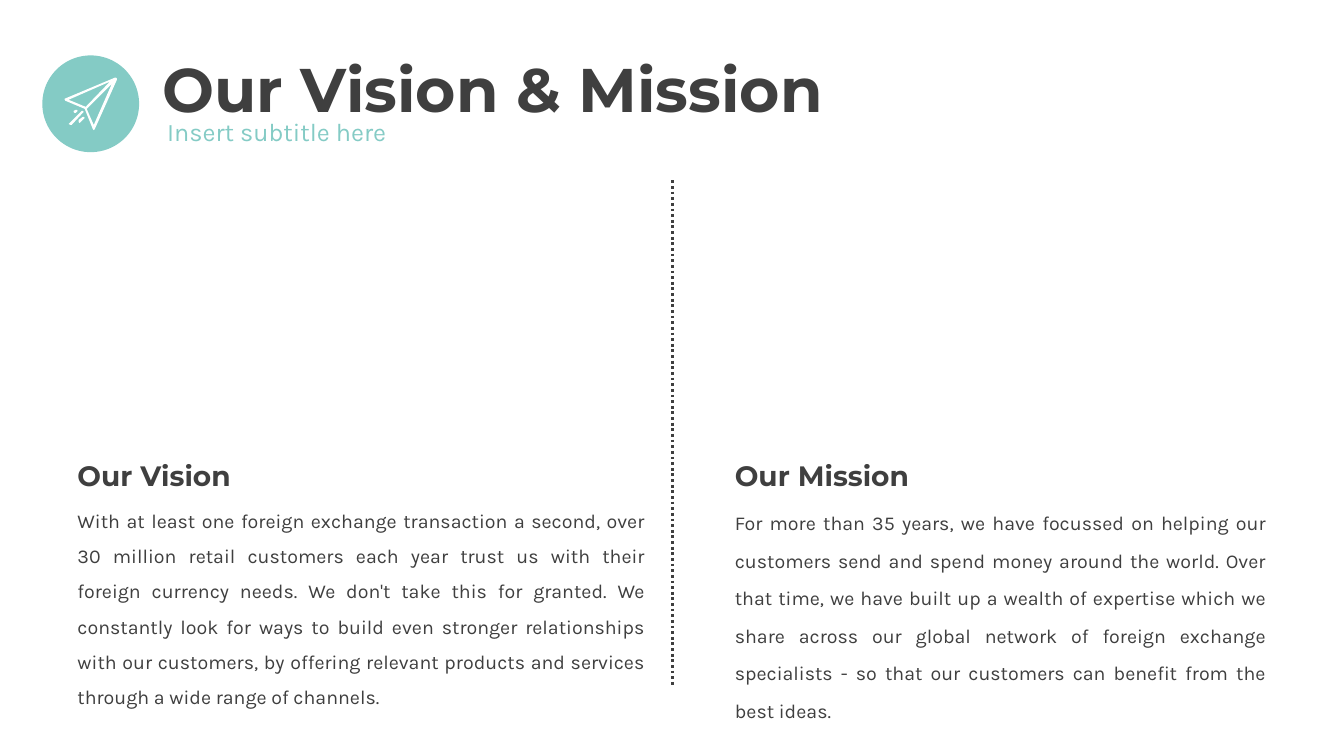
from lxml import etree
from pptx import Presentation
from pptx import util as u
from pptx.dml.color import RGBColor
from pptx.enum import dml, shapes, text
from pptx.oxml.ns import qn

TITLE = "Our Vision & Mission"
SUBTITLE = "Insert subtitle here"
BODY_TOP = 4.88
COLUMNS = [
    {"left": 0.67, "heading": "Our Vision", "heading_width": 4.33,
     "width": 5.83, "line_spacing": 1.5,
     "body": "With at least one foreign exchange transaction a second, over 30 million "
             "retail customers each year trust us with their foreign currency needs. "
             "We don't take this for granted. We constantly look for ways to build even "
             "stronger relationships with our customers, by offering relevant products "
             "and services through a wide range of channels."},
    {"left": 7.19, "heading": "Our Mission", "heading_width": 3.43,
     "width": 5.47, "line_spacing": 1.6,
     "body": "For more than 35 years, we have focussed on helping our customers send and "
             "spend money around the world. Over that time, we have built up a wealth of "
             "expertise which we share across our global network of foreign exchange "
             "specialists - so that our customers can benefit from the best ideas."},
]

# Paper plane contours in hundredths of an inch: outline, two wing cut-outs, three trails
PLANE = [
    [(116, 78), (115, 77), (114, 77), (64, 98), (64, 99), (65, 100), (84, 108),
     (92, 128), (93, 129), (94, 128), (116, 79)],
    [(68, 99), (109, 81), (85, 106)],
    [(93, 124), (86, 108), (111, 83)],
    [(75, 112), (77, 110), (76, 109), (75, 109), (73, 110), (73, 111), (74, 112)],
    [(83, 111), (82, 110), (81, 110), (69, 122), (68, 123), (70, 124), (71, 124), (82, 112)],
    [(83, 116), (82, 116), (78, 119), (78, 121), (79, 122), (80, 121), (83, 118), (84, 117)],
]

THEME = {
    "dark": RGBColor(0x3F, 0x3F, 0x3F),
    "accent": RGBColor(0x84, 0xCB, 0xC5),
    "white": RGBColor(0xFF, 0xFF, 0xFF),
    "heading_font": "Montserrat",
    "body_font": "Karla",
    "title_size": 44, "heading_size": 20, "subtitle_size": 18, "body_size": 14,
}


def add_text(slide, box, words, role, color="dark", bold=False, line_spacing=None,
             align=text.PP_ALIGN.LEFT, anchor=text.MSO_ANCHOR.TOP):
    """Place one paragraph; role picks its type size, bold picks the heading font."""
    frame = slide.shapes.add_textbox(*map(u.Inches, box)).text_frame
    frame.word_wrap = True
    frame.vertical_anchor = anchor
    paragraph = frame.paragraphs[0]
    paragraph.alignment = align
    if line_spacing:
        paragraph.line_spacing = line_spacing
    run = paragraph.add_run()
    run.text = words
    run.font.name = THEME["heading_font" if bold else "body_font"]
    run.font.size = u.Pt(THEME[role + "_size"])
    run.font.bold = bold
    run.font.color.rgb = THEME[color]
    return frame


def paint(shape, color):
    shape.shadow.inherit = False
    shape.fill.solid()
    shape.fill.fore_color.rgb = THEME[color]
    shape.line.fill.background()


def add_plane_badge(slide):
    badge = slide.shapes.add_group_shape()
    circle = badge.shapes.add_shape(
        shapes.MSO_SHAPE.OVAL, *map(u.Inches, (0.42, 0.55, 0.96, 0.96)))
    paint(circle, "accent")
    builder = badge.shapes.build_freeform(*PLANE[0][0], scale=u.Inches(0.01))
    for index, contour in enumerate(PLANE):
        if index:
            builder.move_to(*contour[0])
        builder.add_line_segments(contour[1:], close=True)
    paint(builder.convert_to_shape(), "white")


def add_divider(slide):
    divider = slide.shapes.add_connector(
        shapes.MSO_CONNECTOR.STRAIGHT, *map(u.Inches, (6.67, 1.79, 6.67, 6.8)))
    divider.line.color.rgb = THEME["dark"]
    divider.line.width = u.Pt(2)
    divider.line.dash_style = dml.MSO_LINE.ROUND_DOT
    etree.SubElement(divider.element.spPr, qn("a:effectLst"))


def main():
    presentation = Presentation()
    presentation.slide_width = u.Inches(13.33)
    presentation.slide_height = u.Inches(7.5)
    slide = presentation.slides.add_slide(presentation.slide_layouts[6])

    add_text(slide, (1.51, 0.4, 11, 1.03), TITLE, "title", bold=True,
             line_spacing=0.9, anchor=text.MSO_ANCHOR.MIDDLE)
    add_text(slide, (1.56, 1.14, 11.03, 0.65), SUBTITLE, "subtitle", "accent",
             line_spacing=0.9)
    add_plane_badge(slide)
    for column in COLUMNS:
        heading = add_text(slide, (column["left"], 4.5, column["heading_width"], 0.44),
                           column["heading"], "heading", bold=True)
        heading.auto_size = text.MSO_AUTO_SIZE.SHAPE_TO_FIT_TEXT
        add_text(slide, (column["left"], BODY_TOP, column["width"], 2.97),
                 column["body"], "body", line_spacing=column["line_spacing"],
                 align=text.PP_ALIGN.JUSTIFY)
    add_divider(slide)
    presentation.save("out.pptx")


if __name__ == "__main__":
    main()
